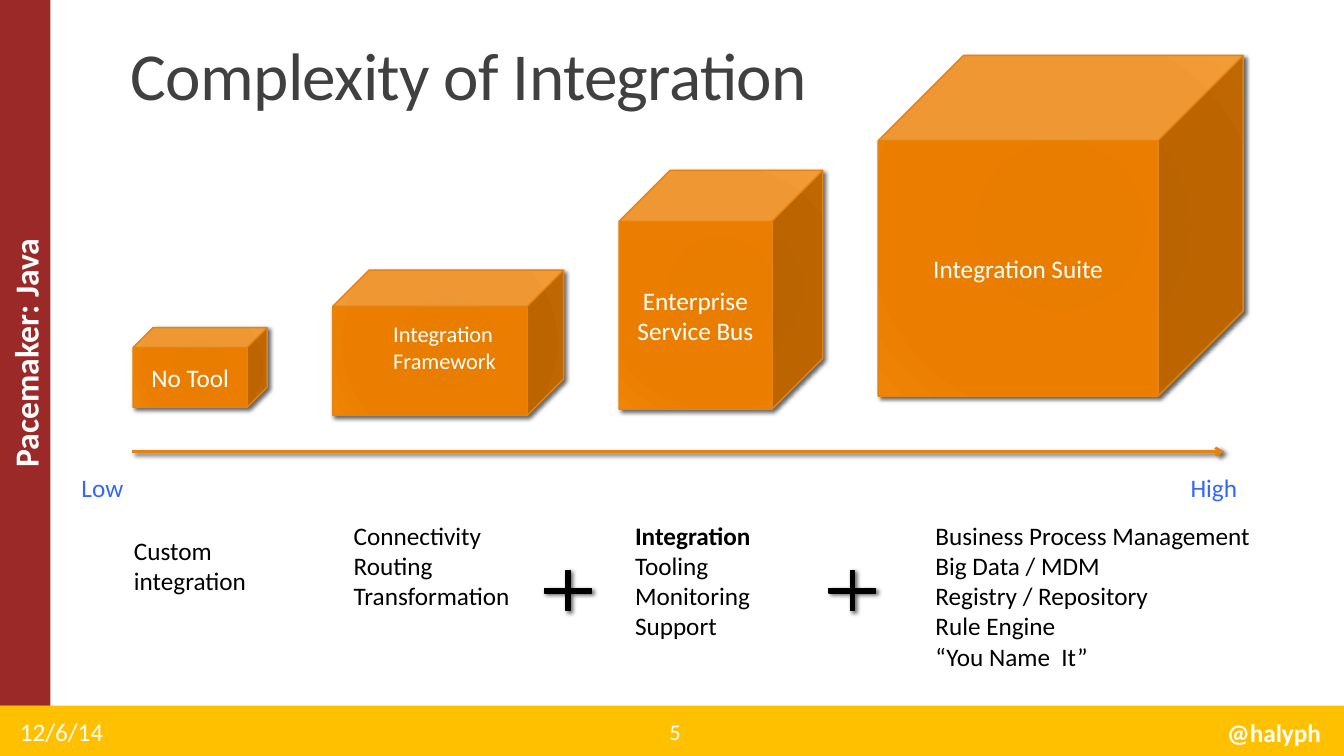
from lxml import etree
from pptx import Presentation
from pptx.dml.color import RGBColor
from pptx.enum.shapes import MSO_CONNECTOR, MSO_SHAPE
from pptx.enum.text import MSO_ANCHOR, PP_ALIGN
from pptx.oxml.ns import qn
from pptx.util import Inches, Pt

LEFT, CENTER, RIGHT = PP_ALIGN.LEFT, PP_ALIGN.CENTER, PP_ALIGN.RIGHT
TOP, MIDDLE, BOTTOM = MSO_ANCHOR.TOP, MSO_ANCHOR.MIDDLE, MSO_ANCHOR.BOTTOM
RECTANGLE, CUBE, PLUS = MSO_SHAPE.RECTANGLE, MSO_SHAPE.CUBE, MSO_SHAPE.MATH_PLUS
STRAIGHT = MSO_CONNECTOR.STRAIGHT

FONT = "Calibri"
COLORS = {
    "white": "FFFFFF", "black": "000000", "title": "404040", "scale": "3366FF",
    "footer": "FFC000", "sidebar": "9A2928", "orange": "E48312",
}
CUBE_STOPS = [(0, "E57B00"), (34, "E87D00"), (70, "EB7E00"), (100, "EF8407")]

SIDEBAR_TEXT = "Pacemaker: Java"
CUBES = [
    ("No Tool", (1.32, 3.25, 1.33, 0.79), {}, {}),
    ("Integration Framework", (3.3, 2.68, 2.29, 1.44),
     {"size": 16, "align": LEFT}, {"margin_left": 0.6, "margin_bottom": 0.32}),
    ("Enterprise Service Bus", (6.14, 1.69, 2.02, 2.37), {}, {}),
    ("Integration Suite", (8.71, 0.55, 3.62, 3.38), {}, {}),
]
FOOTER = {"color": "white", "anchor": MIDDLE}
SCALE = {"color": "scale", "wrap": False}
LABELS = [
    (["12/6/14"], (0.1, 7.06, 2.7, 0.4), FOOTER),
    (["@halyph"], (11.47, 7.07, 1.73, 0.4), {**FOOTER, "align": RIGHT, "bold": True}),
    (["5"], (5.98, 7.06, 1.43, 0.4), {**FOOTER, "align": CENTER, "size": 16}),
    (["Complexity of Integration"], (1.2, 0.31, 11, 0.87),
     {"color": "title", "size": 48, "anchor": BOTTOM, "line_spacing": 0.85, "tracking": -50}),
    (["Low"], (0.71, 4.64, 0.62, 0.4), SCALE),
    (["High"], (11.71, 4.64, 0.67, 0.4), SCALE),
    (["Custom integration"], (1.23, 5.26, 1.48, 0.71), {}),
    (["Connectivity", "Routing", "Transformation"], (3.41, 5.11, 1.79, 1.01), {"wrap": False}),
    (["Integration", "Tooling", "Monitoring", "Support"], (6.2, 5.11, 1.37, 1.31),
     {"wrap": False, "bold_first": True}),
    (["Business Process Management", "Big Data / MDM", "Registry / Repository",
      "Rule Engine", "“You Name  It”"], (9.18, 5.11, 3.36, 1.62), {"wrap": False}),
]
PLUS_LEFTS = [5.32, 8.14]
ARROW = (1.31, 4.48, 12.14, 4.48)


def rgb(name):
    return RGBColor.from_string(COLORS[name])


def add_node(parent, tag, **values):
    node = etree.SubElement(parent, qn(tag))
    for key, value in values.items():
        node.set(key, str(value))
    return node


def write(shape, lines, color="black", size=18, align=LEFT, anchor=TOP, wrap=True,
          bold=False, bold_first=False, line_spacing=None, tracking=None):
    frame = shape.text_frame
    frame.word_wrap = wrap
    frame.vertical_anchor = anchor
    for index, line in enumerate(lines):
        para = frame.add_paragraph() if index else frame.paragraphs[0]
        para.alignment = align
        if line_spacing:
            para.line_spacing = line_spacing
        span = para.add_run()
        span.text = line
        style = {"name": FONT, "size": Pt(size), "bold": bold or (bold_first and index == 0)}
        for key, value in style.items():
            setattr(span.font, key, value)
        span.font.color.rgb = rgb(color)
        if tracking:
            span.font._element.set("spc", str(tracking))


def add_shadow(properties):
    effects = properties.find(qn("a:effectLst"))
    if effects is None:
        effects = add_node(properties, "a:effectLst")
    shadow = add_node(effects, "a:outerShdw", blurRad=Pt(3), dist=Pt(2),
                      dir=45 * 60000, algn="tl", rotWithShape=0)
    color = add_node(shadow, "a:srgbClr", val=COLORS["black"])
    add_node(color, "a:alpha", val=60000)


def add_shape(kind, place, fill, line=None):
    shape = page.shapes.add_shape(kind, *map(Inches, place))
    shape.shadow.inherit = False
    shape.fill.solid()
    shape.fill.fore_color.rgb = rgb(fill)
    if line:
        shape.line.color.rgb = rgb(line)
        shape.line.width = Pt(1)
        add_shadow(shape._element.spPr)
    else:
        shape.line.fill.background()
    return shape


def shade(shape):
    properties = shape._element.spPr
    gradient = etree.Element(qn("a:gradFill"), rotWithShape="1")
    stops = add_node(gradient, "a:gsLst")
    for position, color in CUBE_STOPS:
        stop = add_node(stops, "a:gs", pos=position * 1000)
        add_node(stop, "a:srgbClr", val=color)
    circle = add_node(gradient, "a:path", path="circle")
    add_node(circle, "a:fillToRect", l=100000, t=100000, r=100000, b=100000)
    properties.replace(properties.find(qn("a:solidFill")), gradient)


def add_arrow(ends):
    arrow = page.shapes.add_connector(STRAIGHT, *map(Inches, ends))
    arrow.line.color.rgb = rgb("orange")
    arrow.line.width = Pt(2)
    properties = arrow._element.spPr
    add_node(properties.find(qn("a:ln")), "a:tailEnd", type="arrow")
    add_shadow(properties)


deck = Presentation()
deck.slide_width, deck.slide_height = Inches(13.33), Inches(7.5)
page = deck.slides.add_slide(deck.slide_layouts[6])

add_shape(RECTANGLE, (0, 7, 13.33, 0.5), "footer")
sidebar = add_shape(RECTANGLE, (-3.25, 3.25, 7, 0.5), "sidebar")
sidebar.rotation = 270
write(sidebar, [SIDEBAR_TEXT], color="white", size=24, align=CENTER, bold=True)

add_arrow(ARROW)

for name, place, style, margins in CUBES:
    cube = add_shape(CUBE, place, "orange", "orange")
    shade(cube)
    write(cube, [name], **{"color": "white", "align": CENTER, "anchor": MIDDLE, **style})
    for key, value in margins.items():
        setattr(cube.text_frame, key, Inches(value))

for left in PLUS_LEFTS:
    plus = add_shape(PLUS, (left, 5.59, 0.63, 0.54), "black", "black")
    plus.adjustments[0] = 0.08

for lines, place, style in LABELS:
    box = page.shapes.add_textbox(*map(Inches, place))
    write(box, lines, **style)

deck.save("out.pptx")
